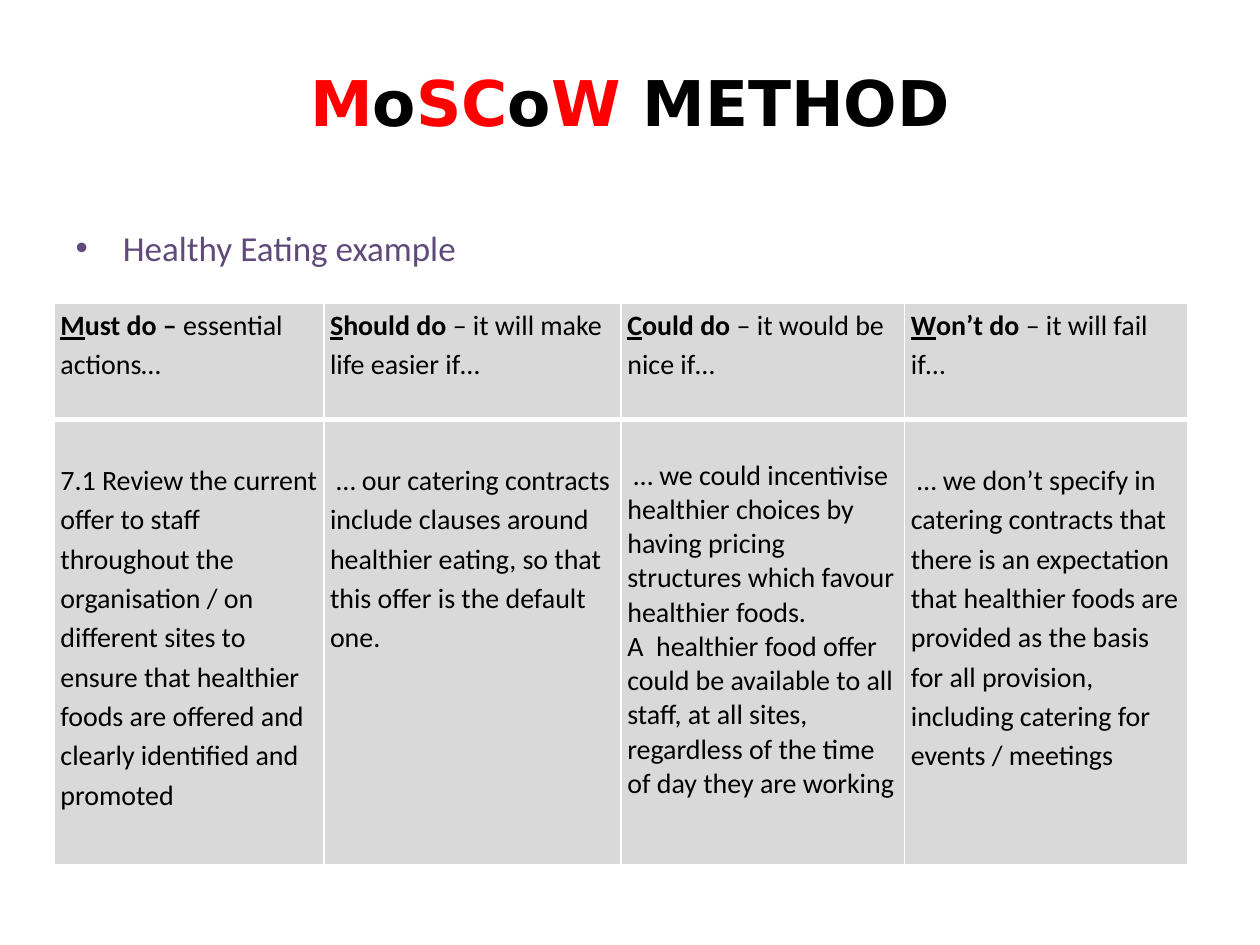
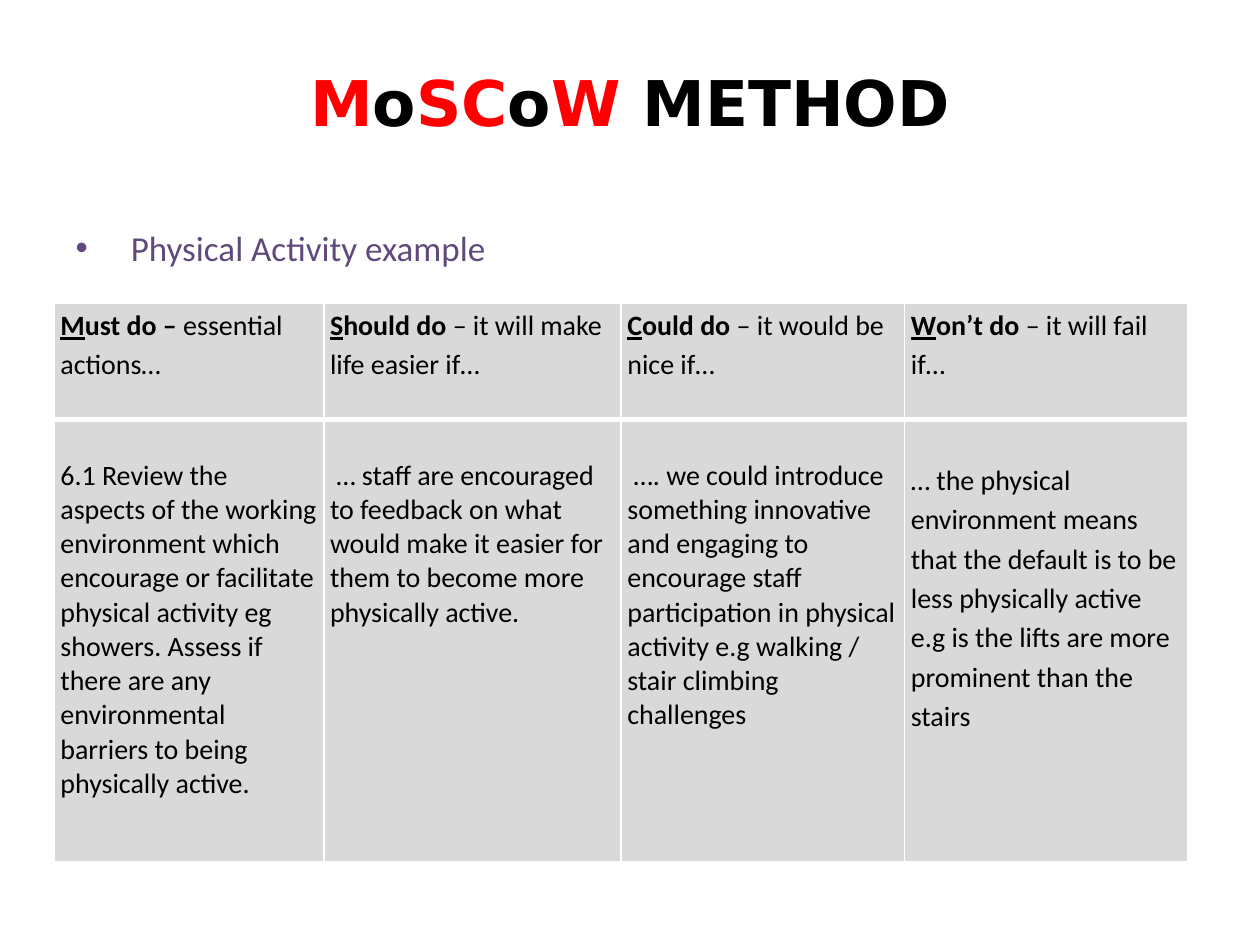
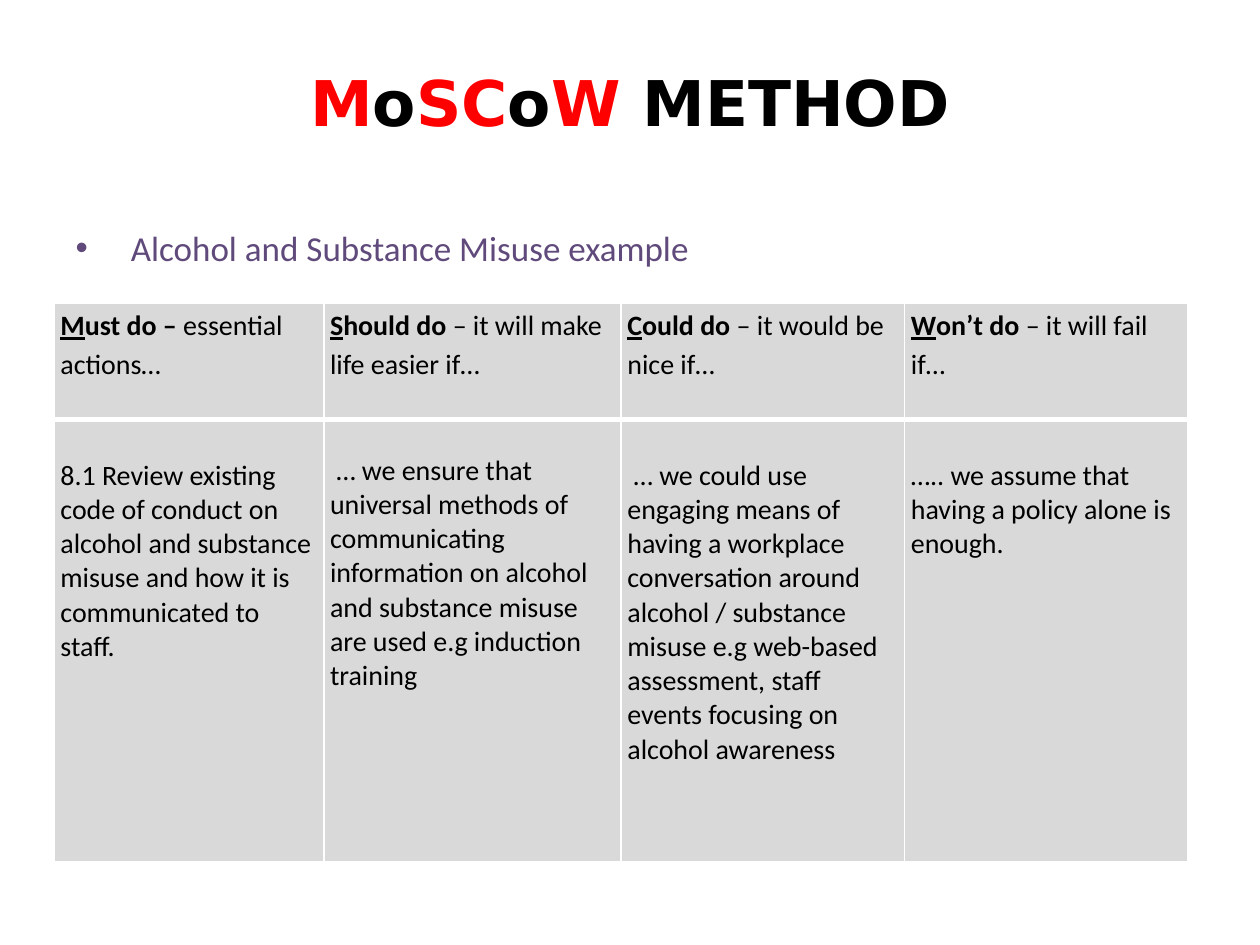
from collections import namedtuple

from lxml.etree import SubElement
from pptx import Presentation
from pptx.dml.color import RGBColor
from pptx.enum.text import MSO_ANCHOR, MSO_AUTO_SIZE, PP_ALIGN
from pptx.oxml.ns import qn
from pptx.util import Inches, Pt

Box = namedtuple("Box", "left top width height")
Entry = namedtuple("Entry", "paragraphs spacing gap", defaults=(1.15, 3.1))
Example = namedtuple("Example", "heading entries body_height")

COLORS = {
    "accent": "FF0000",
    "text": "000000",
    "heading": "604A7B",
    "cell": "D9D9D9",
    "border": "FFFFFF",
}
GRID_COLUMNS, GRID_ROWS = 100, 75
SLIDE_WIDTH, SLIDE_HEIGHT = Inches(10), Inches(7.5)
TITLE_BOX = Box(23.6, 4.2, 52.8, 10.1)
BODY_BOX = Box(5, 17.5, 90, 49.5)
TABLE_LEFT, TABLE_TOP = 4.3, 24.1
TABLE_COLUMNS = [21.4, 23.6, 22.5, 22.5]
HEADER_HEIGHT = 9.2
TITLE_PARTS = [("M", "accent"), ("o", "text"), ("SC", "accent"),
               ("o", "text"), ("W", "accent"), (" METHOD", "text")]
HEADERS = [
    ("M", "ust do – ", "essential actions…"),
    ("S", "hould do ", "– it will make life easier if…"),
    ("C", "ould do ", "– it would be nice if…"),
    ("W", "on’t do ", "– it will fail if…"),
]
EXAMPLES = [
    Example("Healthy Eating example", [
        Entry(["7.1 Review the current offer to staff throughout the organisation / on "
               "different sites to ensure that healthier foods are offered and clearly "
               "identified and promoted"]),
        Entry(["\u00a0… our catering contracts include clauses around healthier eating, "
               "so that this offer is the default one."]),
        Entry(["\u00a0… we could incentivise healthier choices by having pricing "
               "structures which favour healthier foods. ",
               "A  healthier food offer could be available to all staff, at all sites, "
               "regardless of the time of day they are working"], 1.0),
        Entry(["\u00a0… we don’t specify in catering contracts that there is an "
               "expectation that healthier foods are provided as the basis for all "
               "provision, including catering for events / meetings"]),
    ], 35.3),
    Example(" Physical Activity example", [
        Entry(["6.1 Review the aspects of the working environment which encourage or "
               "facilitate physical activity eg showers. Assess if there are any "
               "environmental barriers to being physically active."], 1.0),
        Entry(["\u00a0… staff are encouraged to feedback on what would make it easier "
               "for them to become more physically active. "], 1.0),
        Entry(["\u00a0…. we could introduce something innovative and engaging to "
               "encourage staff participation in physical activity e.g walking / stair "
               "climbing challenges"], 1.0),
        Entry(["… the physical environment means that the default is to be less "
               "physically active e.g is the lifts are more prominent than the stairs "]),
    ], 35.1),
    Example(" Alcohol and Substance Misuse example", [
        Entry(["8.1 Review existing code of conduct on alcohol and substance misuse and "
               "how it is communicated to staff. "], 1.0),
        Entry(["\u00a0… we ensure that universal methods of communicating information "
               "on alcohol and substance misuse are used e.g induction training"], 1.0, 2.7),
        Entry(["\u00a0… we could use engaging means of having a workplace conversation "
               "around alcohol / substance misuse e.g web-based assessment, staff events "
               "focusing on alcohol awareness"], 1.0),
        Entry(["….. we assume that having a policy alone is enough."], 1.0),
    ], 35.1),
]


def across(columns):
    """Turn grid columns into a length."""
    return round(SLIDE_WIDTH * columns / GRID_COLUMNS)


def down(rows):
    """Turn grid rows into a length."""
    return round(SLIDE_HEIGHT * rows / GRID_ROWS)


def place(shape, box):
    """Move a shape to a box on the grid."""
    shape.left, shape.top = across(box.left), down(box.top)
    shape.width, shape.height = across(box.width), down(box.height)


def add_text(paragraph, text, size=16, font="Calibri", color="text", bold=False, underline=False):
    """Add one formatted run to a paragraph."""
    run = paragraph.add_run()
    run.text = text
    run.font.size = Pt(size)
    run.font.name = font
    run.font.bold = bold
    run.font.underline = underline
    run.font.color.rgb = RGBColor.from_string(COLORS[color])


def add_title(slide, box):
    """Fill the title placeholder with the two-coloured method name."""
    title = slide.shapes.title
    place(title, box)
    frame = title.text_frame
    frame.auto_size = MSO_AUTO_SIZE.NONE
    frame.word_wrap = False
    frame.vertical_anchor = MSO_ANCHOR.MIDDLE
    frame.margin_bottom = down(2.9)
    paragraph = frame.paragraphs[0]
    paragraph.alignment = PP_ALIGN.CENTER
    for text, color in TITLE_PARTS:
        add_text(paragraph, text, size=36, font="DejaVu Sans", color=color, bold=True)


def add_heading(slide, box, text):
    """Fill the body placeholder with the bulleted name of the example."""
    body = slide.placeholders[1]
    place(body, box)
    body.text_frame.auto_size = MSO_AUTO_SIZE.NONE
    add_text(body.text_frame.paragraphs[0], text, size=20, color="heading")


def style_cell(cell, top_width, bottom_width, gap=0):
    """Give a cell its margins, borders and fill."""
    cell.margin_left = cell.margin_right = across(0.5)
    cell.margin_top, cell.margin_bottom = down(gap), 0
    cell.vertical_anchor = MSO_ANCHOR.TOP
    properties = cell._tc.get_or_add_tcPr()
    widths = {"a:lnL": 1, "a:lnR": 1, "a:lnT": top_width, "a:lnB": bottom_width}
    for tag, width in widths.items():
        line = SubElement(properties, qn(tag), w=str(Pt(width)))
        fill = SubElement(line, qn("a:solidFill"))
        SubElement(fill, qn("a:srgbClr"), val=COLORS["border"])
    cell.fill.solid()
    cell.fill.fore_color.rgb = RGBColor.from_string(COLORS["cell"])


def fill_header(cell, initial, rest, explanation):
    """Write a priority with its underlined initial."""
    style_cell(cell, 1, 3)
    paragraph = cell.text_frame.paragraphs[0]
    paragraph.line_spacing = 1.15
    add_text(paragraph, initial, bold=True, underline=True)
    add_text(paragraph, rest, bold=True)
    add_text(paragraph, explanation)


def fill_entry(cell, entry):
    """Write the actions below a priority."""
    style_cell(cell, 3, 1, entry.gap)
    frame = cell.text_frame
    for index, text in enumerate(entry.paragraphs):
        paragraph = frame.add_paragraph() if index else frame.paragraphs[0]
        paragraph.line_spacing = entry.spacing
        add_text(paragraph, text)


def add_priorities(slide, box, entries):
    """Add the table of four priorities and their actions."""
    table = slide.shapes.add_table(2, len(HEADERS), across(box.left), down(box.top),
                                   across(box.width), down(box.height)).table
    table.first_row = table.horz_banding = False
    table.rows[0].height = down(HEADER_HEIGHT)
    table.rows[1].height = down(box.height - HEADER_HEIGHT)
    for index, (width, header, entry) in enumerate(zip(TABLE_COLUMNS, HEADERS, entries)):
        table.columns[index].width = across(width)
        fill_header(table.cell(0, index), *header)
        fill_entry(table.cell(1, index), entry)


def add_example_slide(presentation, example):
    """Add one slide that applies the method to an example."""
    slide = presentation.slides.add_slide(presentation.slide_layouts[1])
    add_heading(slide, BODY_BOX, example.heading)
    add_title(slide, TITLE_BOX)
    table_box = Box(TABLE_LEFT, TABLE_TOP, sum(TABLE_COLUMNS), HEADER_HEIGHT + example.body_height)
    add_priorities(slide, table_box, example.entries)


def main():
    """Build and save the presentation."""
    presentation = Presentation()
    presentation.slide_width, presentation.slide_height = SLIDE_WIDTH, SLIDE_HEIGHT
    for example in EXAMPLES:
        add_example_slide(presentation, example)
    presentation.save("out.pptx")


main()
